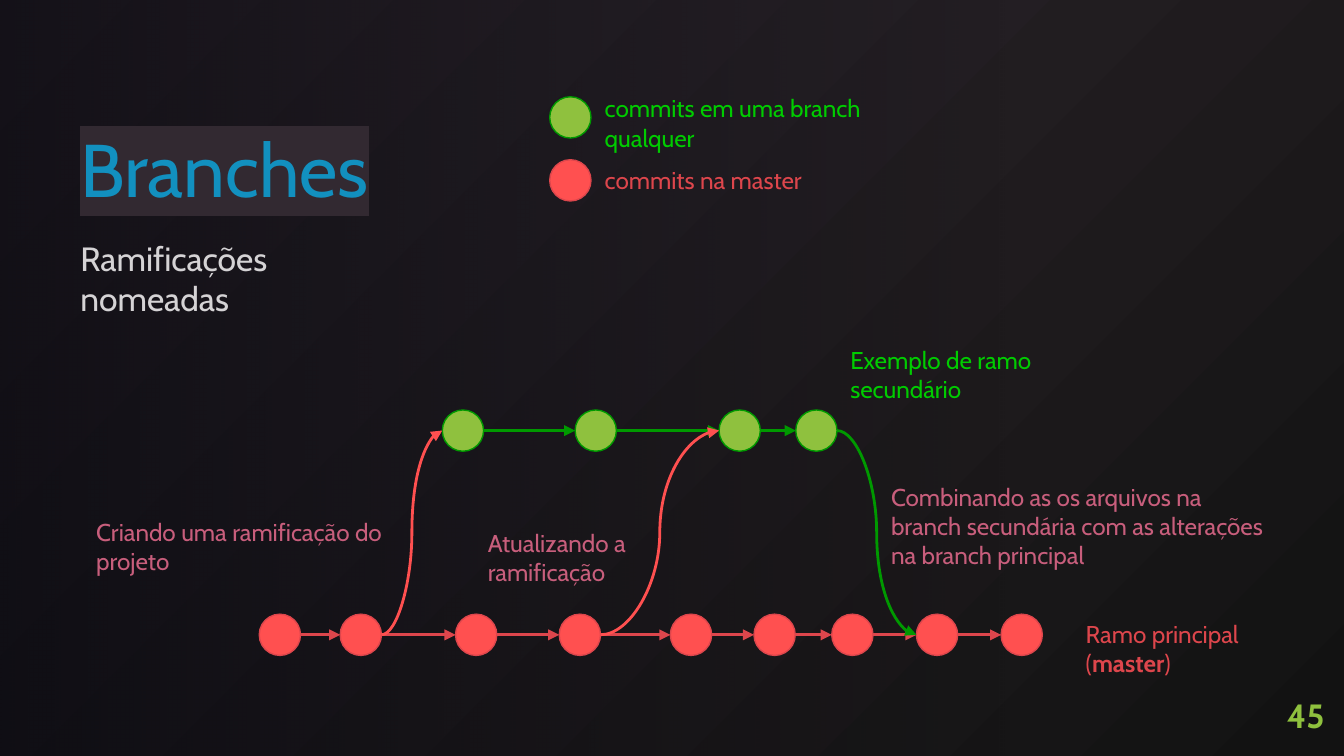
"""Build a slide that explains named branches with a commit graph."""
from dataclasses import dataclass
from itertools import pairwise

from lxml import etree
from pptx import Presentation
from pptx import util as u
from pptx.dml.color import RGBColor
from pptx.enum import shapes, text
from pptx.oxml import ns

RED = RGBColor(0xFF, 0x50, 0x50)
DARK_RED = RGBColor(0xDD, 0x46, 0x4C)
LIME = RGBColor(0x8F, 0xC1, 0x3E)
DARK_GREEN = RGBColor(0x00, 0x99, 0x00)
GREEN = RGBColor(0x00, 0xCC, 0x00)
PINK = RGBColor(0xC8, 0x5E, 0x7C)
BLUE = RGBColor(0x12, 0x90, 0xBF)
PALE = RGBColor(0xD5, 0xD3, 0xD5)
PLUM = RGBColor(0x32, 0x29, 0x31)
CHARCOAL = RGBColor(0x12, 0x12, 0x12)
NIGHT = RGBColor(0x00, 0x02, 0x08)

FONT = "Cabin"
WIDTH, HEIGHT = 25.4, 14.29
DIAMETER = 0.78
INSET = 0.25


@dataclass(frozen=True)
class Branch:
    lefts: tuple[float, ...]
    top: float
    fill: RGBColor
    line: RGBColor

    def entry(self, index: int) -> tuple[float, float]:
        return self.lefts[index], self.top + DIAMETER / 2

    def exit(self, index: int) -> tuple[float, float]:
        return self.lefts[index] + DIAMETER, self.top + DIAMETER / 2


@dataclass(frozen=True)
class Label:
    words: str
    left: float
    top: float
    width: float
    color: RGBColor
    strong: str = ""


MASTER = Branch((4.9, 6.43, 8.61, 10.57, 12.67, 14.25, 15.72, 17.32, 18.92),
                11.61, RED, DARK_RED)
SECONDARY = Branch((8.36, 10.87, 13.59, 15.04), 7.75, LIME, DARK_GREEN)
LEGEND = (Branch((10.39,), 1.83, LIME, DARK_GREEN),
          Branch((10.39,), 3.02, RED, DARK_RED))
CURVES = ((MASTER.exit(1), SECONDARY.entry(0), RED),
          (SECONDARY.exit(3), MASTER.entry(7), DARK_GREEN),
          (MASTER.exit(3), SECONDARY.entry(2), RED))
LABELS = (
    Label("commits em uma branch qualquer", 11.18, 1.52, 5.41, GREEN),
    Label("commits na master", 11.18, 2.87, 5.89, DARK_RED),
    Label("Criando uma ramificação do projeto", 1.57, 9.52, 5.89, PINK),
    Label("Exemplo de ramo secundário", 15.82, 6.27, 5.41, GREEN),
    Label("Ramo principal (master)", 20.27, 11.45, 4.55, DARK_RED, "master"),
    Label("Combinando as os arquivos na branch secundária com as alterações "
          "na branch principal", 16.59, 8.86, 7.77, PINK),
    Label("Atualizando a ramificação", 8.97, 9.73, 4.04, PINK),
)


def set_gradient(fill, colors: tuple[RGBColor, RGBColor], angle: float) -> None:
    fill.gradient()
    fill.gradient_angle = angle
    for stop, position, color in zip(fill.gradient_stops, (0, 1), colors):
        stop.position = position
        stop.color.rgb = color


def add_shade(slide) -> None:
    shape = slide.shapes.add_shape(shapes.MSO_SHAPE.RECTANGLE, 0, 0,
                                   u.Cm(19.05), u.Cm(HEIGHT))
    shape.shadow.inherit = False
    shape.line.fill.background()
    set_gradient(shape.fill, (NIGHT, NIGHT), 180)
    colors = shape._element.spPr.iter(ns.qn("a:srgbClr"))
    for color, opacity in zip(colors, (0, 60000)):
        etree.SubElement(color, ns.qn("a:alpha")).set("val", str(opacity))


def add_text(slide, words: str, left: float, top: float, width: float,
             height: float, *, size: float, color: RGBColor, strong: str = "",
             bold: bool = False, highlight: RGBColor | None = None,
             spacing: float = 1.0, align=text.PP_ALIGN.LEFT,
             anchor=text.MSO_ANCHOR.TOP) -> None:
    box = slide.shapes.add_textbox(*map(u.Cm, (left, top, width, height)))
    frame = box.text_frame
    frame.word_wrap = True
    frame.vertical_anchor = anchor
    frame.margin_left = frame.margin_right = u.Cm(INSET)
    frame.margin_top = frame.margin_bottom = u.Cm(INSET)
    paragraph = frame.paragraphs[0]
    paragraph.alignment = align
    paragraph.line_spacing = spacing
    pieces = words.partition(strong) if strong else (words,)
    for piece in pieces:
        run = paragraph.add_run()
        run.text = piece
        run.font.name = FONT
        run.font.size = u.Pt(size)
        run.font.bold = bold or piece == strong
        run.font.color.rgb = color
        if highlight is not None:
            mark = etree.Element(ns.qn("a:highlight"))
            etree.SubElement(mark, ns.qn("a:srgbClr")).set("val", str(highlight))
            run.font._element.find(ns.qn("a:solidFill")).addnext(mark)


def add_arrow(slide, start: tuple[float, float], end: tuple[float, float],
              color: RGBColor, kind=shapes.MSO_CONNECTOR.STRAIGHT) -> None:
    arrow = slide.shapes.add_connector(kind, *map(u.Cm, start + end))
    arrow.line.color.rgb = color
    arrow.line.width = u.Pt(1.5)
    etree.SubElement(arrow.line._get_or_add_ln(),
                     ns.qn("a:tailEnd")).set("type", "triangle")
    etree.SubElement(arrow._element.spPr, ns.qn("a:effectLst"))


def add_branch(slide, branch: Branch) -> None:
    for left in branch.lefts:
        commit = slide.shapes.add_shape(
            shapes.MSO_SHAPE.OVAL, u.Cm(left), u.Cm(branch.top),
            u.Cm(DIAMETER), u.Cm(DIAMETER))
        commit.shadow.inherit = False
        commit.fill.solid()
        commit.fill.fore_color.rgb = branch.fill
        commit.line.color.rgb = branch.line
        commit.line.width = u.Pt(0.75)
    for current, following in pairwise(range(len(branch.lefts))):
        add_arrow(slide, branch.exit(current), branch.entry(following), branch.line)


def main() -> None:
    presentation = Presentation()
    presentation.slide_width = u.Cm(WIDTH)
    presentation.slide_height = u.Cm(HEIGHT)
    slide = presentation.slides.add_slide(presentation.slide_layouts[6])
    set_gradient(slide.background.fill, (PLUM, CHARCOAL), 315)
    add_shade(slide)
    add_text(slide, "45", 23.83, 12.75, 1.45, 1.55, size=18, color=LIME, bold=True,
             align=text.PP_ALIGN.RIGHT, anchor=text.MSO_ANCHOR.MIDDLE)
    add_text(slide, "Branches", 1.27, 1.22, 18.03, 3.05, size=40, color=BLUE,
             highlight=PLUM, spacing=1.15, anchor=text.MSO_ANCHOR.BOTTOM)
    add_text(slide, "Ramificações nomeadas", 1.27, 4.24, 4.9, 9.04,
             size=18, color=PALE)
    for branch in (MASTER, SECONDARY, *LEGEND):
        add_branch(slide, branch)
    for start, end, color in CURVES:
        add_arrow(slide, start, end, color, shapes.MSO_CONNECTOR.CURVE)
    for label in LABELS:
        add_text(slide, label.words, label.left, label.top, label.width, 1.09,
                 size=13, color=label.color, strong=label.strong)
    presentation.save("out.pptx")


if __name__ == "__main__":
    main()
